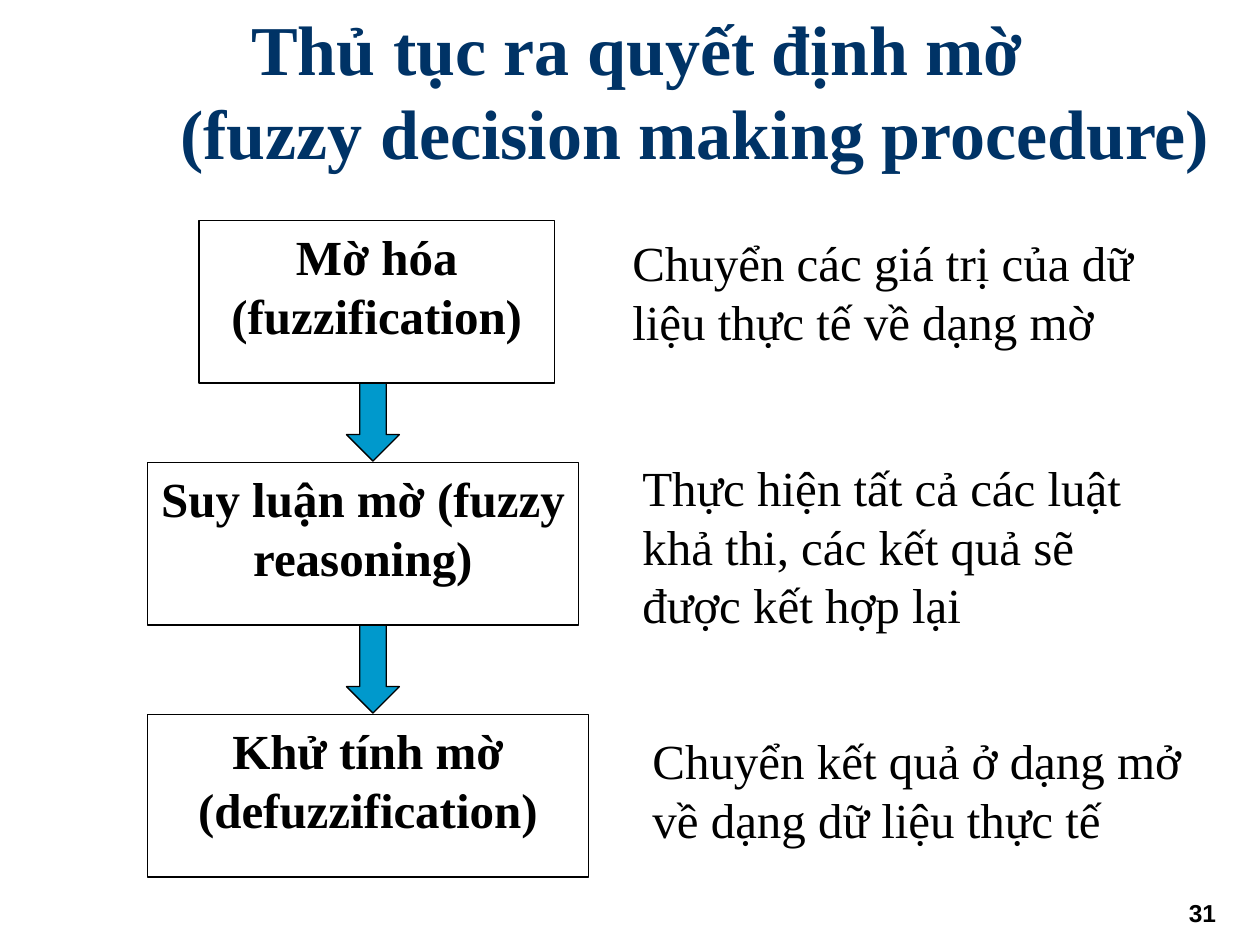
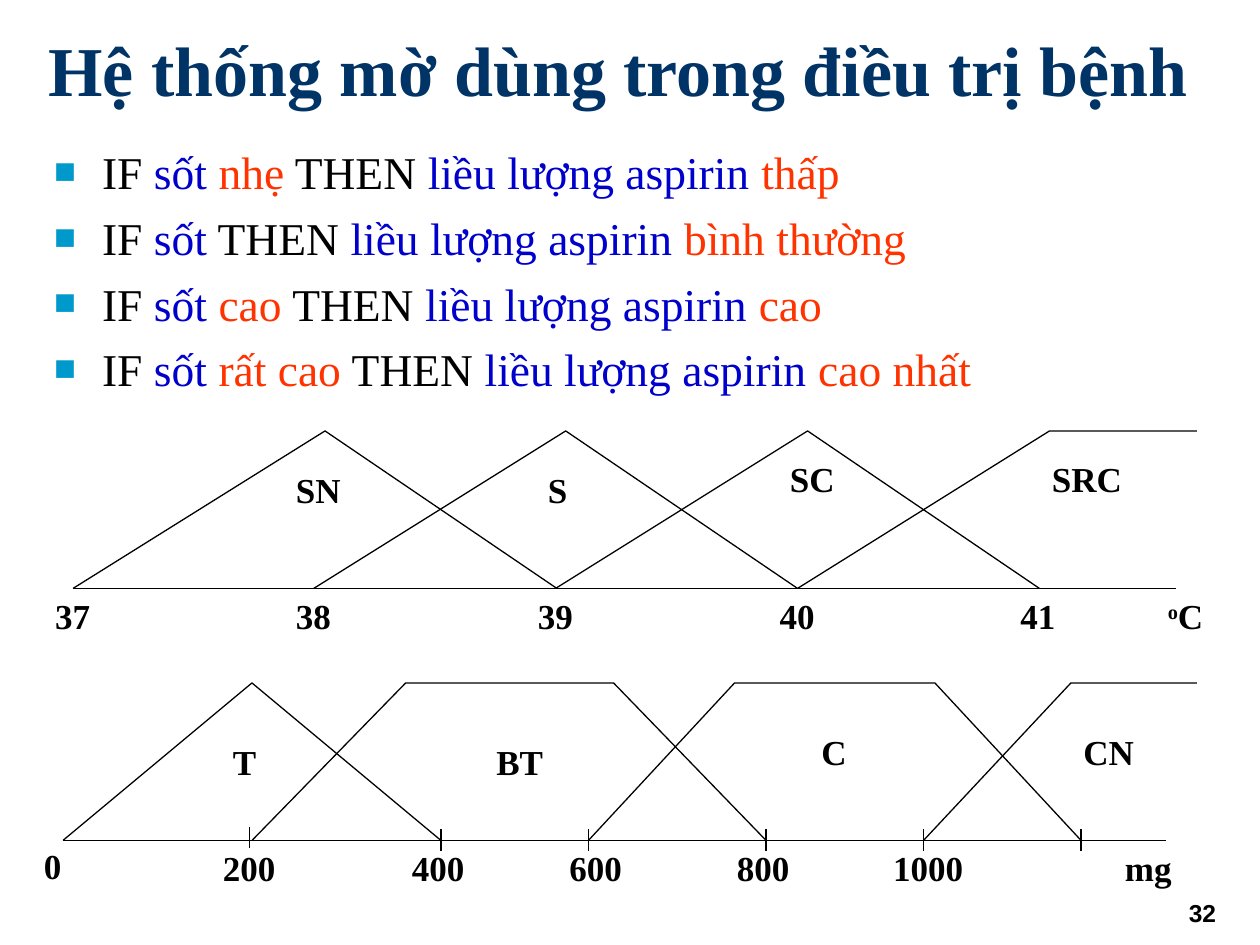
from dataclasses import dataclass
from typing import Optional

from lxml.etree import SubElement
from pptx import Presentation
from pptx.dml.color import RGBColor
from pptx.enum.shapes import MSO_CONNECTOR, MSO_SHAPE
from pptx.enum.text import MSO_ANCHOR, MSO_AUTO_SIZE, PP_ALIGN
from pptx.oxml.ns import qn
from pptx.util import Pt

PX = 9144
SLIDE_W, SLIDE_H = 1000, 750
SERIF, SANS = "Times New Roman", "Arial"
COLORS = {
    "text": "000000",
    "title": "003366",
    "accent": "0099CC",
    "paper": "FFFFFF",
    "variable": "0000CC",
    "value": "FF3300",
}


@dataclass
class Box:
    left: int
    top: int
    width: int
    height: int

    def emu(self) -> tuple:
        return tuple(v * PX for v in (self.left, self.top, self.width, self.height))


@dataclass
class Step:
    name: str
    box: Box
    detail: str
    detail_box: Box


@dataclass
class Rule:
    degree: str
    dose: str


@dataclass
class Label:
    text: str
    left: int
    top: int
    width: int


STEPS = [
    Step("Mờ hóa (fuzzification)", Box(158, 175, 282, 129),
         "Chuyển các giá trị của dữ liệu thực tế về dạng mờ", Box(492, 180, 450, 104)),
    Step("Suy luận mờ (fuzzy reasoning)", Box(117, 367, 342, 129),
         "Thực hiện tất cả các luật khả thi, các kết quả sẽ được kết hợp lại",
         Box(500, 358, 450, 150)),
    Step("Khử tính mờ (defuzzification)", Box(117, 567, 350, 129),
         "Chuyển kết quả ở dạng mở về dạng dữ liệu thực tế", Box(508, 575, 450, 104)),
]
ARROWS = [Box(275, top, 42, 83) for top in (283, 483)]

RULES = [
    Rule("nhẹ", "thấp"),
    Rule("", "bình thường"),
    Rule("cao", "cao"),
    Rule("rất cao", "cao nhất"),
]

FEVER_TOP, FEVER_BASE = 342, 467
DOSE_TOP, DOSE_BASE = 542, 667
DOSE_SETS = [
    [(50, DOSE_BASE), (200, DOSE_TOP), (350, DOSE_BASE)],
    [(200, DOSE_BASE), (322, DOSE_TOP), (487, DOSE_TOP), (608, DOSE_BASE)],
    [(467, DOSE_BASE), (583, DOSE_TOP), (742, DOSE_TOP), (858, DOSE_BASE)],
    [(733, DOSE_BASE), (850, DOSE_TOP), (950, DOSE_TOP)],
]
DOSE_TICKS = [(198, 656), (350, 658), (467, 658), (608, 658), (733, 658), (858, 658)]


def degree_x(start: int, index: int) -> int:
    return start + 575 * index // 3


LABELS = [
    Label("SN", 225, 367, 57),
    Label("S", 425, 367, 37),
    Label("SC", 617, 358, 57),
    Label("SRC", 825, 358, 77),
    *[Label(str(37 + i), degree_x(34, i), FEVER_BASE, 50) for i in range(5)],
    Label("0", 25, 665, 36),
    Label("200", 167, DOSE_BASE, 63),
    Label("400", 317, DOSE_BASE, 63),
    Label("600", 442, DOSE_BASE, 63),
    Label("800", 575, DOSE_BASE, 63),
    Label("1000", 699, DOSE_BASE, 77),
    Label("mg", 883, DOSE_BASE, 59),
    Label("T", 175, 583, 40),
    Label("BT", 384, 583, 59),
    Label("C", 642, 575, 42),
    Label("CN", 850, 575, 62),
]


def rgb(name: str) -> RGBColor:
    return RGBColor.from_string(COLORS[name])


def add_run(p, text: str, size: int, color: str = "text", bold: bool = False,
            font: str = SERIF):
    r = p.add_run()
    r.text = text
    r.font.name = font
    r.font.size = Pt(size)
    r.font.bold = bold
    r.font.color.rgb = rgb(color)
    return r


def place(sp, box: Box) -> None:
    sp.left, sp.top, sp.width, sp.height = box.emu()


def add_text_box(slide, box: Box, wrap: bool = True, align=PP_ALIGN.LEFT):
    tf = slide.shapes.add_textbox(*box.emu()).text_frame
    tf.word_wrap = wrap
    tf.auto_size = MSO_AUTO_SIZE.SHAPE_TO_FIT_TEXT
    p = tf.paragraphs[0]
    p.alignment = align
    return p


def add_title(slide, box: Box, lines: list, indent: int = 0) -> None:
    sp = slide.shapes.title
    place(sp, box)
    tf = sp.text_frame
    tf.auto_size = MSO_AUTO_SIZE.NONE
    tf.vertical_anchor = MSO_ANCHOR.MIDDLE
    p = tf.paragraphs[0]
    p.alignment = PP_ALIGN.CENTER
    set_hanging(p, indent)
    for i, line in enumerate(lines):
        if i:
            p.add_line_break()
        add_run(p, line, 40, "title", True)


def add_page_number(slide, number: int) -> None:
    p = add_text_box(slide, Box(600, 708, 375, 50), align=PP_ALIGN.RIGHT)
    add_run(p, str(number), 14, bold=True, font=SANS)


def set_hanging(p, indent: int):
    pPr = p._p.get_or_add_pPr()
    pPr.set("marL", str(indent * PX))
    pPr.set("indent", str(-indent * PX))
    return pPr


def set_bullet(p) -> None:
    pPr = set_hanging(p, 38)
    color = SubElement(pPr, qn("a:buClr"))
    SubElement(color, qn("a:srgbClr")).set("val", COLORS["accent"])
    SubElement(pPr, qn("a:buSzPct")).set("val", "80000")
    SubElement(pPr, qn("a:buFont")).set("typeface", SERIF)
    SubElement(pPr, qn("a:buChar")).set("char", "■")


def style_outline(sp, fill: Optional[str] = None) -> None:
    sp.shadow.inherit = False
    if fill:
        sp.fill.solid()
        sp.fill.fore_color.rgb = rgb(fill)
    else:
        sp.fill.background()
    sp.line.color.rgb = rgb("text")
    sp.line.width = Pt(0.75)


def add_line(slide, x1: int, y1: int, x2: int, y2: int) -> None:
    line = slide.shapes.add_connector(
        MSO_CONNECTOR.STRAIGHT, x1 * PX, y1 * PX, x2 * PX, y2 * PX)
    line.line.color.rgb = rgb("text")
    line.line.width = Pt(0.75)
    SubElement(line._element.spPr, qn("a:effectLst"))


def add_fuzzy_set(slide, points: list) -> None:
    fb = slide.shapes.build_freeform(*points[0], scale=float(PX))
    fb.add_line_segments(points[1:], close=False)
    style_outline(fb.convert_to_shape())


def add_step(slide, step: Step) -> None:
    sp = slide.shapes.add_shape(MSO_SHAPE.RECTANGLE, *step.box.emu())
    style_outline(sp, "paper")
    tf = sp.text_frame
    tf.word_wrap = True
    tf.vertical_anchor = MSO_ANCHOR.TOP
    p = tf.paragraphs[0]
    p.alignment = PP_ALIGN.CENTER
    add_run(p, step.name, 28, bold=True)
    add_run(add_text_box(slide, step.detail_box), step.detail, 28)


def add_rules(slide, box: Box) -> None:
    sp = slide.placeholders[1]
    place(sp, box)
    tf = sp.text_frame
    tf.auto_size = MSO_AUTO_SIZE.NONE
    for i, rule in enumerate(RULES):
        p = tf.add_paragraph() if i else tf.paragraphs[0]
        p.space_before = Pt(6.5 if i else 0)
        set_bullet(p)
        add_run(p, "IF ", 26)
        add_run(p, "sốt " if rule.degree else "sốt", 26, "variable")
        if rule.degree:
            add_run(p, rule.degree, 26, "value")
        add_run(p, " THEN ", 26)
        add_run(p, "liều lượng aspirin ", 26, "variable")
        add_run(p, rule.dose, 26, "value")


def build_procedure(prs) -> None:
    slide = prs.slides.add_slide(prs.slide_layouts[5])
    add_page_number(slide, 31)
    add_title(slide, Box(33, 25, 945, 92),
              ["Thủ tục ra quyết định mờ", "(fuzzy decision making procedure)"], 92)
    for box in ARROWS:
        style_outline(slide.shapes.add_shape(MSO_SHAPE.DOWN_ARROW, *box.emu()), "accent")
    for step in STEPS:
        add_step(slide, step)


def build_treatment(prs) -> None:
    slide = prs.slides.add_slide(prs.slide_layouts[1])
    add_page_number(slide, 32)
    add_title(slide, Box(25, 8, 945, 92), ["Hệ thống mờ dùng trong điều trị bệnh "])
    add_rules(slide, Box(33, 109, 945, 558))

    add_line(slide, 58, FEVER_BASE, 933, FEVER_BASE)
    for i in range(4):
        x = degree_x(58, i)
        end = (x + 384, FEVER_BASE) if i < 3 else (950, FEVER_TOP)
        add_fuzzy_set(slide, [(x, FEVER_BASE), (x + 200, FEVER_TOP), end])

    add_line(slide, 50, DOSE_BASE, 925, DOSE_BASE)
    for points in DOSE_SETS:
        add_fuzzy_set(slide, points)
    for x, top in DOSE_TICKS:
        add_line(slide, x, top, x, top + 17)

    for label in LABELS:
        p = add_text_box(slide, Box(label.left, label.top, label.width, 44), wrap=False)
        add_run(p, label.text, 20, bold=True)
    p = add_text_box(slide, Box(917, FEVER_BASE, 50, 44), wrap=False)
    degree = add_run(p, "o", 20, bold=True)
    degree.font._element.set("baseline", "30000")
    add_run(p, "C", 20, bold=True)


def main() -> None:
    prs = Presentation()
    prs.slide_width, prs.slide_height = SLIDE_W * PX, SLIDE_H * PX
    build_procedure(prs)
    build_treatment(prs)
    prs.save("out.pptx")


if __name__ == "__main__":
    main()
